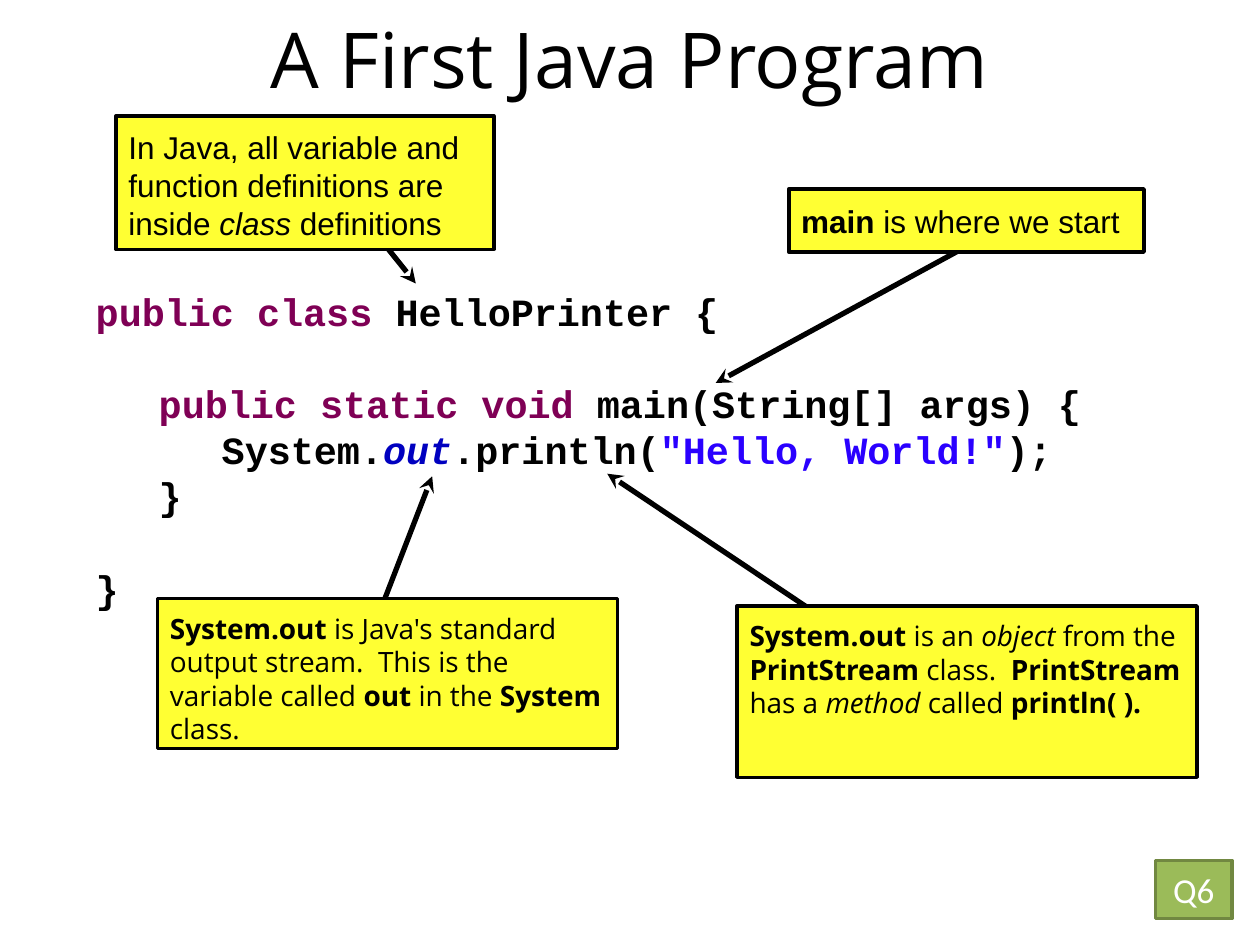
from pptx import Presentation
from pptx.dml.color import RGBColor
from pptx.enum.shapes import MSO_CONNECTOR, MSO_SHAPE
from pptx.enum.text import MSO_ANCHOR, PP_ALIGN
from pptx.oxml.ns import qn
from pptx.util import Inches, Pt
from lxml.etree import SubElement

WIDE, HIGH = Inches(10), Inches(7.5)
LEADING = 1.2

BLACK = RGBColor(0, 0, 0)
WHITE = RGBColor(0xFF, 0xFF, 0xFF)
YELLOW = RGBColor(0xFF, 0xFF, 0x33)
GREEN = RGBColor(0x9B, 0xBB, 0x59)
MOSS = RGBColor(0x71, 0x88, 0x41)
PLUM = RGBColor(0x7F, 0x00, 0x55)
NAVY = RGBColor(0x00, 0x00, 0xC0)
BLUE = RGBColor(0x2A, 0x00, 0xFF)

# Code lines: blank lines above, then runs of (text, colour, italic)
CODE = [
    (0, [("public class ", PLUM, False), ("HelloPrinter {", BLACK, False)]),
    (1, [("\t", BLACK, False), ("public static void", PLUM, False),
         (" main(String[] args) {", BLACK, False)]),
    (0, [("\t\tSystem.", BLACK, False), ("out", NAVY, True),
         (".println(", BLACK, False), ('"Hello, World!"', BLUE, False),
         (");", BLACK, False)]),
    (0, [("\t}", BLACK, False)]),
    (1, [("}", BLACK, False)]),
]

# Callouts: box, arrow tip and tail (percent of slide), font, size,
# runs of (text, style) where b is bold and i is italic
NOTES = [
    ((9.2, 12.27, 30, 14.13), (33, 30), (29.8, 24.67), "Arial", 18,
     [("In Java, all variable and function definitions are inside ", ""),
      ("class", "i"), (" definitions", "")]),
    ((62.6, 20, 28.2, 6.67), (56.8, 40.53), (79.2, 24.27), "Arial", 18,
     [("main", "b"), (" is where we start", "")]),
    ((12.5, 63.33, 36.5, 15.87), (34.3, 50.4), (29.7, 66.27), "Open Sans", 16,
     [("System.out", "b"),
      (" is Java's standard output stream.  This is the variable called ", ""),
      ("out", "b"), (" in the ", ""), ("System", "b"), (" class.", "")]),
    ((58.5, 64.13, 36.5, 18.13), (48.2, 50.13), (66.6, 66.53), "Open Sans", 16,
     [("System.out", "b"), (" is an ", ""), ("object", "i"),
      (" from the ", ""), ("PrintStream", "b"), (" class.  ", ""),
      ("PrintStream", "b"), (" has a ", ""), ("method", "i"),
      (" called ", ""), ("println( ).", "b")]),
]


def place(*share):
    """Turn percents of the slide, x and y in turn, into lengths."""
    return [int((HIGH if n % 2 else WIDE) * s / 100)
            for n, s in enumerate(share)]


def add_run(para, text, font, size, color=BLACK, bold=False, italic=False):
    run = para.add_run()
    run.text = text
    face = run.font
    face.name, face.size = font, Pt(size)
    face.bold, face.italic = bold, italic
    face.color.rgb = color


def set_frame(frame, inset, anchor=MSO_ANCHOR.TOP):
    frame.word_wrap = True
    frame.vertical_anchor = anchor
    frame.margin_left = frame.margin_right = Inches(inset)
    frame.margin_top = frame.margin_bottom = Inches(inset)


def add_title(slide, text):
    title = slide.shapes.title
    title.left, title.top, title.width, title.height = place(
        5, -2.27, 90, 16.67)
    set_frame(title.text_frame, 0.05, MSO_ANCHOR.MIDDLE)
    para = title.text_frame.paragraphs[0]
    para.alignment = PP_ALIGN.CENTER
    add_run(para, text, "Open Sans", 44)


def add_code(slide, size=22):
    box = slide.shapes.add_textbox(*place(7.2, 29.9, 90.4, 38.13))
    frame = box.text_frame
    set_frame(frame, 0.04)
    for n, (gap, runs) in enumerate(CODE):
        para = frame.add_paragraph() if n else frame.paragraphs[0]
        para.line_spacing = Pt(size * LEADING)
        para.space_before = Pt(gap * size * LEADING)
        for text, color, italic in runs:
            add_run(para, text, "Courier New", size, color, True, italic)


def add_arrow(slide, tip, tail):
    line = slide.shapes.add_connector(
        MSO_CONNECTOR.STRAIGHT, *place(*tip, *tail))
    line.line.color.rgb = BLACK
    line.line.width = Pt(3)
    SubElement(line.line._get_or_add_ln(), qn("a:headEnd"), type="stealth")
    SubElement(line._element.spPr, qn("a:effectLst"))


def add_box(slide, area, fill, edge, inset, anchor):
    box = slide.shapes.add_shape(MSO_SHAPE.RECTANGLE, *place(*area))
    box.shadow.inherit = False
    box.fill.solid()
    box.fill.fore_color.rgb = fill
    box.line.color.rgb = edge
    box.line.width = Pt(2)
    set_frame(box.text_frame, inset, anchor)
    return box.text_frame.paragraphs[0]


def add_note(slide, area, tip, tail, font, size, runs):
    add_arrow(slide, tip, tail)
    para = add_box(slide, area, YELLOW, BLACK, 0.1, MSO_ANCHOR.TOP)
    para.alignment = PP_ALIGN.LEFT
    para.line_spacing = Pt(size * LEADING)
    for text, style in runs:
        add_run(para, text, font, size, BLACK, "b" in style, "i" in style)


def add_badge(slide, text):
    para = add_box(slide, (91.7, 91.07, 6.1, 6.13), GREEN, MOSS, 0,
                   MSO_ANCHOR.MIDDLE)
    para.alignment = PP_ALIGN.CENTER
    add_run(para, text, "Calibri", 20, WHITE)


def main():
    deck = Presentation()
    deck.slide_width, deck.slide_height = WIDE, HIGH
    slide = deck.slides.add_slide(deck.slide_layouts[5])
    add_code(slide)
    add_title(slide, "A First Java Program")
    for note in NOTES:
        add_note(slide, *note)
    add_badge(slide, "Q6")
    deck.save("out.pptx")


if __name__ == "__main__":
    main()
